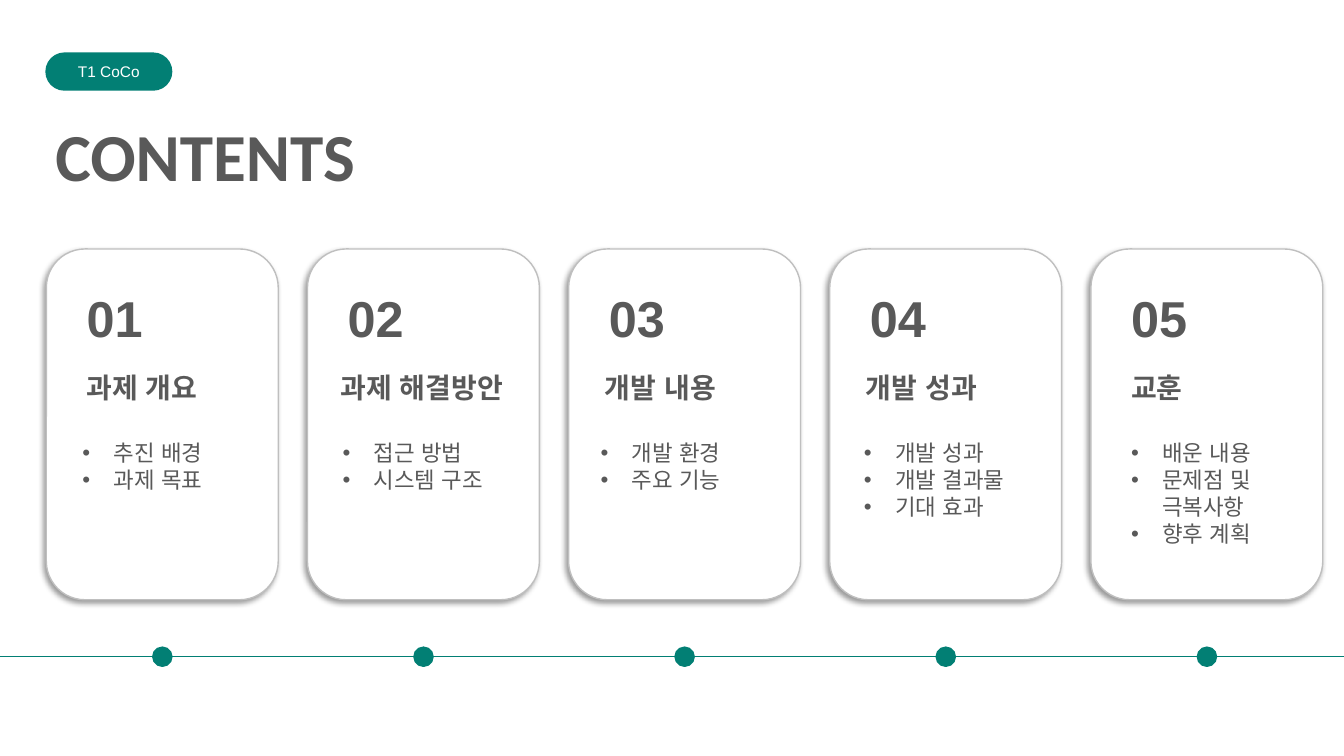
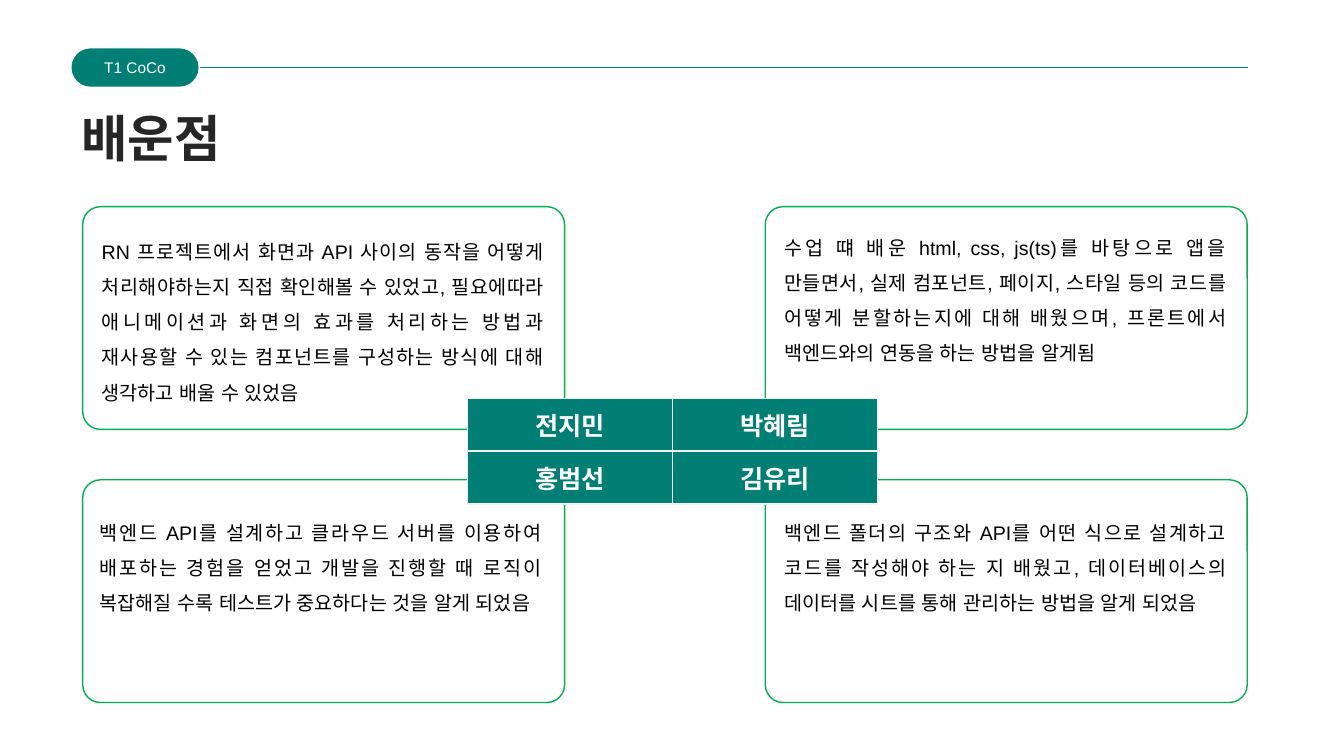
import pptx
import pptx.dml.color
import pptx.enum.lang
import pptx.enum.shapes
import pptx.enum.text
import pptx.oxml.ns
import pptx.util
import lxml.etree

Inches = pptx.util.Inches
Align = pptx.enum.text.PP_ALIGN
Preset = pptx.enum.shapes.MSO_SHAPE
MIDDLE = pptx.enum.text.MSO_ANCHOR.MIDDLE

TEAL, GREEN, WHITE, BLACK = "027F74", "00B050", "FFFFFF", "000000"
GREY, INK, SILVER, MIST = "595959", "262626", "BFBFBF", "F2F2F2"

CARDS = [
    ("과제 개요", 0.30, 1.4, ["추진 배경", "과제 목표"], 0.26, 1.47),
    ("과제 해결방안", 0.23, 1.96, ["접근 방법", "시스템 구조"], 0.25, 1.7),
    ("개발 내용", 0.26, 1.4, ["개발 환경", "주요 기능"], 0.22, 1.48),
    ("개발 성과", 0.26, 1.4, ["개발 성과", "개발 결과물", "기대 효과"], 0.24, 1.7),
    ("교훈", 0.30, 0.76, ["배운 내용", "문제점 및 극복사항", "향후 계획"], 0.30, 1.64),
]
MEMBERS = [["전지민", "박혜림"], ["홍범선", "김유리"]]
LESSONS = [
    (0.91, 2.21, "RN 프로젝트에서 화면과 API 사이의 동작을 어떻게 처리해야하는지 직접 확인해볼 수 있었고, "
     "필요에따라 애니메이션과 화면의 효과를 처리하는 방법과 재사용할 수 있는 컴포넌트를 구성하는 방식에 대해 "
     "생각하고 배울 수 있었음"),
    (7.68, 2.17, "수업 떄 배운 html, css, js(ts)를 바탕으로 앱을 만들면서, 실제 컴포넌트, 페이지, 스타일 등의 "
     "코드를 어떻게 분할하는지에 대해 배웠으며, 프론트에서 백엔드와의 연동을 하는 방법을 알게됨"),
    (0.89, 5, "백엔드 API를 설계하고 클라우드 서버를 이용하여 배포하는 경험을 얻었고 개발을 진행할 때 로직이 "
     "복잡해질 수록 테스트가 중요하다는 것을 알게 되었음"),
    (7.68, 5, "백엔드 폴더의 구조와 API를 어떤 식으로 설계하고 코드를 작성해야 하는 지 배웠고, 데이터베이스의 "
     "데이터를 시트를 통해 관리하는 방법을 알게 되었음"),
]


def rgb(value):
    return pptx.dml.color.RGBColor.from_string(value)


def font_style(size, name="Arial", bold=False):
    return {"size": pptx.util.Pt(size), "name": name, "bold": bold,
            "language_id": pptx.enum.lang.MSO_LANGUAGE_ID.KOREAN}


def add_child(parent, tag, **attributes):
    return lxml.etree.SubElement(parent, pptx.oxml.ns.qn(tag), attributes)


class Deck:
    """Hold the shared style and the slide being built."""

    def __init__(self):
        self.show = pptx.Presentation()
        self.show.slide_width, self.show.slide_height = Inches(13.33), Inches(7.5)
        self.slide = None

    def new_slide(self):
        self.slide = self.show.slides.add_slide(self.show.slide_layouts[6])

    def set_lines(self, frame, lines, style, color, bullets=False, **layout):
        for index, line in enumerate(lines):
            paragraph = frame.add_paragraph() if index else frame.paragraphs[0]
            for key, value in layout.items():
                setattr(paragraph, key, value)
            if bullets:
                props = paragraph._p.get_or_add_pPr()
                props.set("marL", str(Inches(0.31)))
                props.set("indent", str(-Inches(0.31)))
                add_child(props, "a:buFont", typeface="Arial")
                add_child(props, "a:buChar", char="•")
            run = paragraph.add_run()
            run.text = line
            for key, value in style.items():
                setattr(run.font, key, value)
            run.font.color.rgb = rgb(color)

    def text(self, box, lines, style, color, wrap=False, **options):
        frame = self.slide.shapes.add_textbox(*map(Inches, box)).text_frame
        frame.word_wrap = wrap
        frame.auto_size = pptx.enum.text.MSO_AUTO_SIZE.SHAPE_TO_FIT_TEXT
        self.set_lines(frame, lines, style, color, **options)

    def shape(self, preset, box, fill=None, line=None, corner=None):
        shape = self.slide.shapes.add_shape(preset, *map(Inches, box))
        shape.shadow.inherit = False
        if corner is not None:
            shape.adjustments[0] = corner
        if fill:
            shape.fill.solid()
            shape.fill.fore_color.rgb = rgb(fill)
        else:
            shape.fill.background()
        if line:
            shape.line.color.rgb = rgb(line)
            shape.line.width = pptx.util.Pt(1)
        else:
            shape.line.fill.background()
        return shape

    def card(self, box):
        card = self.shape(Preset.ROUNDED_RECTANGLE, box, WHITE, SILVER)
        effects = card._element.spPr.find(pptx.oxml.ns.qn("a:effectLst"))
        shadow = add_child(effects, "a:outerShdw", blurRad=str(pptx.util.Pt(4)),
                           dist=str(pptx.util.Pt(3)), dir=str(135 * 60000),
                           algn="tr", rotWithShape="0")
        add_child(add_child(shadow, "a:srgbClr", val=BLACK), "a:alpha", val="40000")

    def rule(self, left, right, y):
        rule = self.slide.shapes.add_connector(
            pptx.enum.shapes.MSO_CONNECTOR.STRAIGHT,
            Inches(left), Inches(y), Inches(right), Inches(y))
        rule.line.color.rgb = rgb(TEAL)
        rule.line.width = pptx.util.Pt(0.5)
        add_child(rule._element.spPr, "a:effectLst")

    def team_tag(self, left, top):
        tag = self.shape(Preset.ROUNDED_RECTANGLE, (left, top, 1.26, 0.38), TEAL, corner=0.5)
        tag.text_frame.vertical_anchor = MIDDLE
        self.set_lines(tag.text_frame, ["T1 CoCo"], font_style(11), WHITE, alignment=Align.CENTER)

    def title(self, box, words, size, color):
        self.text(box, [words], font_style(size, "Calibri", True), color)

    def borders(self, cell, color):
        props = cell._tc.get_or_add_tcPr()
        for side in ("a:lnL", "a:lnR", "a:lnT", "a:lnB"):
            edge = add_child(props, side, w=str(pptx.util.Pt(1)))
            add_child(add_child(edge, "a:solidFill"), "a:srgbClr", val=color)

    def table(self, box, rows):
        table = self.slide.shapes.add_table(len(rows), len(rows[0]), *map(Inches, box)).table
        table.first_row = table.horz_banding = False
        for r, row in enumerate(rows):
            for c, words in enumerate(row):
                cell = table.cell(r, c)
                self.borders(cell, MIST)
                cell.fill.solid()
                cell.fill.fore_color.rgb = rgb(TEAL)
                cell.vertical_anchor = MIDDLE
                self.set_lines(cell.text_frame, [words], font_style(18, "Calibri", True), WHITE,
                               alignment=Align.CENTER)


def contents_slide(deck):
    deck.new_slide()
    deck.team_tag(0.45, 0.52)
    deck.rule(0, 13.33, 6.51)
    deck.title((0.45, 1.08, 3.21, 0.91), "CONTENTS", 48, GREY)
    width, pitch, dot = 2.3, 2.59, 0.19
    for index, (heading, heading_in, heading_width, topics, topics_in, topics_width) in enumerate(CARDS):
        left = 0.46 + index * pitch
        deck.card((left, 2.47, width, 3.48))
        deck.shape(Preset.OVAL, (left + (width - dot) / 2, 6.42, dot, dot), TEAL, TEAL)
        deck.text((left + 0.3, 2.8, 0.78, 0.71), [f"{index + 1:02}"], font_style(36, bold=True), GREY)
        deck.text((left + heading_in, 3.63, heading_width, 0.44), [heading],
                  font_style(20, bold=True), GREY)
        deck.text((left + topics_in, 4.31, topics_width, 0.1 + 0.27 * len(topics)), topics,
                  font_style(16), GREY, wrap=index == len(CARDS) - 1, bullets=True)


def lessons_slide(deck):
    deck.new_slide()
    deck.team_tag(0.71, 0.48)
    deck.rule(1.98, 12.38, 0.67)
    deck.title((0.71, 1.01, 1.72, 0.71), "배운점", 36, INK)
    for top in (2.05, 4.76):
        for left in (0.82, 7.59):
            deck.shape(Preset.ROUNDED_RECTANGLE, (left, top, 4.78, 2.21), line=GREEN, corner=0.08)
    deck.table((4.64, 3.95, 4.06, 1.05), MEMBERS)
    for left, top, lesson in LESSONS:
        deck.text((left, top, 4.58, 1.47), [lesson], font_style(14), BLACK, wrap=True,
                  alignment=Align.JUSTIFY, line_spacing=1.5)


def main():
    deck = Deck()
    contents_slide(deck)
    lessons_slide(deck)
    deck.show.save("out.pptx")


if __name__ == "__main__":
    main()
